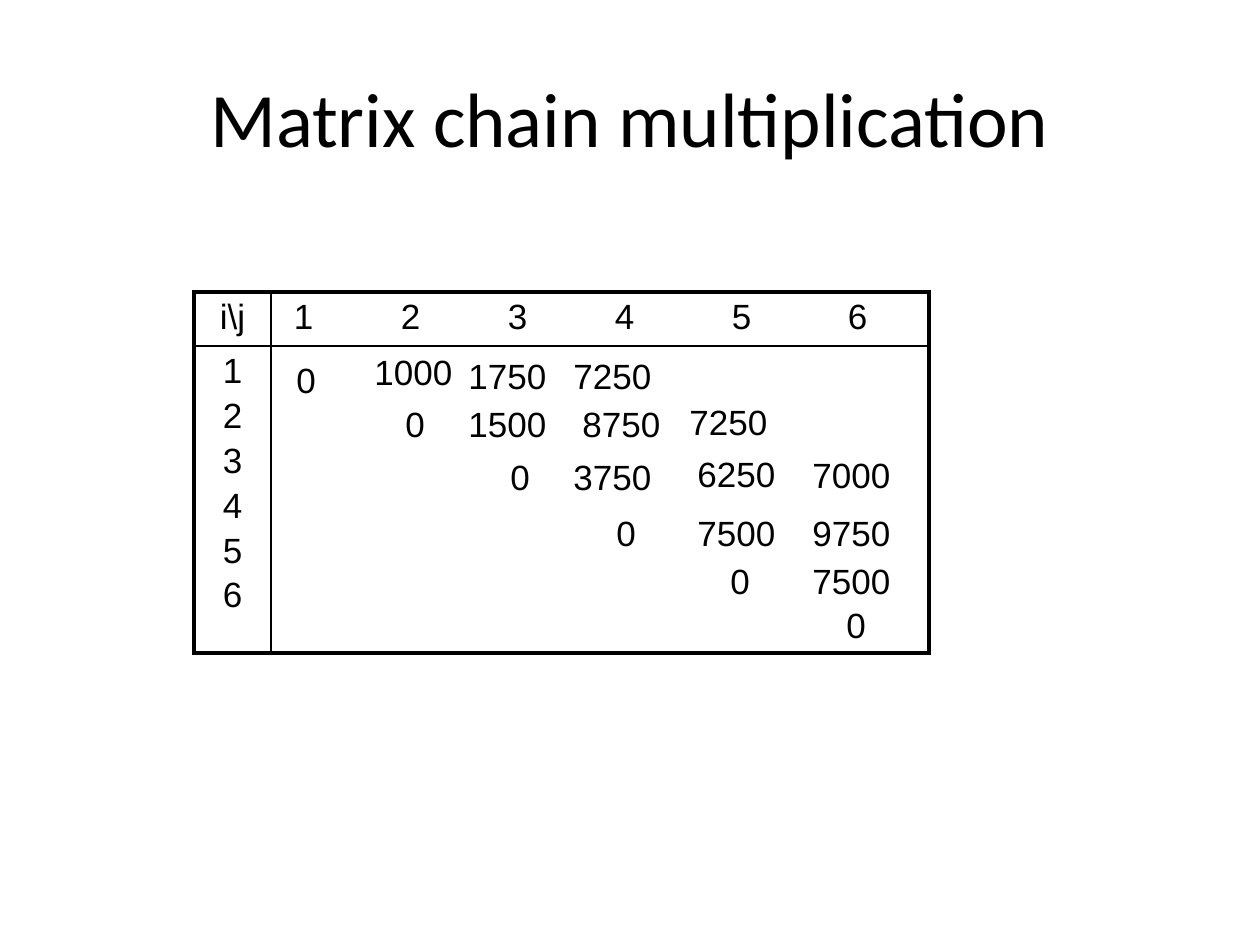
import pptx
import pptx.util
import pptx.dml.color
import pptx.enum.text
import pptx.oxml.ns
from lxml import etree

PX = 914400 // 126
COLORS = {"ink": "000000"}
INK = pptx.dml.color.RGBColor.from_string(COLORS["ink"])
ALIGN = pptx.enum.text.PP_ALIGN
qn = pptx.oxml.ns.qn


def style(paragraph, font_name, size, alignment):
    paragraph.alignment = alignment
    for run in paragraph.runs:
        run.font.name = font_name
        run.font.size = pptx.util.Pt(size)
        run.font.color.rgb = INK


def add_border(cell, side, points):
    properties = cell._tc.get_or_add_tcPr()
    line = etree.SubElement(properties, qn(f"a:{side}"), w=str(pptx.util.Pt(points)))
    fill = etree.SubElement(line, qn("a:solidFill"))
    etree.SubElement(fill, qn("a:srgbClr"), val=COLORS["ink"])


deck = pptx.Presentation()
deck.slide_width = 1260 * PX
deck.slide_height = 945 * PX
slide = deck.slides.add_slide(deck.slide_layouts[5])

# Title
title = slide.shapes.title
title.left, title.top, title.width, title.height = (v * PX for v in (63, 38, 1134, 158))
title.text_frame.text = "Matrix chain multiplication"
title.text_frame.vertical_anchor = pptx.enum.text.MSO_ANCHOR.MIDDLE
style(title.text_frame.paragraphs[0], "Calibri", 44, ALIGN.CENTER)

# Table frame with row and column indices
costs = slide.shapes.add_table(2, 2, 194 * PX, 292 * PX, 735 * PX, 361 * PX).table
costs.first_row = costs.horz_banding = False
for column, width in zip(costs.columns, (77, 658)):
    column.width = width * PX
for row, height in zip(costs.rows, (54, 307)):
    row.height = height * PX

indices = "123456"
labels = [["i\\j", "\t".join(indices)], ["\n".join(indices), ""]]
for r, row_labels in enumerate(labels):
    for c, label in enumerate(row_labels):
        cell = costs.cell(r, c)
        cell.text_frame.text = label
        for paragraph in cell.text_frame.paragraphs:
            style(paragraph, "Arial", 20, ALIGN.JUSTIFY if c else ALIGN.CENTER)
        for paragraph in cell.text_frame.paragraphs[1:]:
            paragraph.space_before = pptx.util.Pt(3.3)
        # Heavy outer border, thin inner rules
        for side, outer in (("lnL", c == 0), ("lnR", c == 1), ("lnT", r == 0), ("lnB", r == 1)):
            add_border(cell, side, 2.25 if outer else 1)
        cell.fill.background()

# Column indices sit on tab stops
header = costs.cell(0, 1)
header.margin_left = 23 * PX
header_properties = header.text_frame.paragraphs[0]._p.get_or_add_pPr()
tab_list = etree.SubElement(header_properties, qn("a:tabLst"))
for stop in (107, 214, 321, 438, 554):
    etree.SubElement(tab_list, qn("a:tab"), pos=str(stop * PX), algn="l")

# Costs by diagonal: value, left, top
diagonals = [
    [("0", 284, 352), ("0", 393, 396), ("0", 498, 449),
     ("0", 604, 505), ("0", 718, 553), ("0", 834, 597)],
    [("1000", 362, 344), ("1500", 456, 396), ("3750", 561, 449),
     ("7500", 685, 505), ("7500", 800, 553)],
    [("1750", 456, 348), ("8750", 570, 396), ("6250", 685, 446), ("9750", 800, 505)],
    [("7250", 561, 348), ("7250", 677, 394), ("7000", 800, 447)],
]
for diagonal in diagonals:
    for value, left, top in diagonal:
        width = 42 if value == "0" else 117
        cost = slide.shapes.add_textbox(left * PX, top * PX, width * PX, 54 * PX)
        cost.text_frame.word_wrap = True
        cost.text_frame.auto_size = pptx.enum.text.MSO_AUTO_SIZE.SHAPE_TO_FIT_TEXT
        cost.text_frame.text = value
        style(cost.text_frame.paragraphs[0], "Arial", 20, ALIGN.LEFT)

deck.save("out.pptx")
